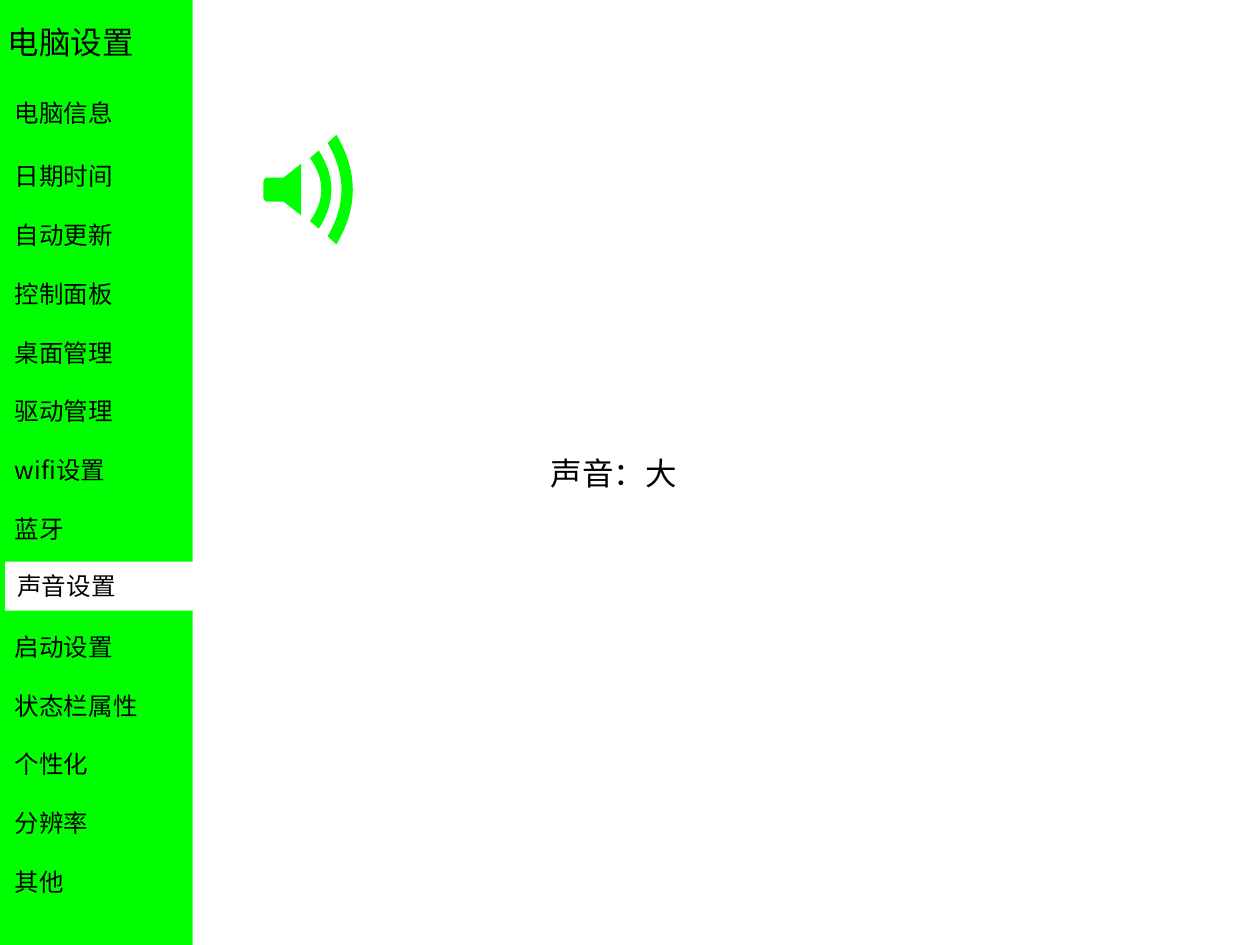
from dataclasses import dataclass

from pptx import Presentation
from pptx.dml.color import RGBColor
from pptx.enum.shapes import MSO_SHAPE
from pptx.enum.text import MSO_ANCHOR, PP_ALIGN
from pptx.util import Inches, Pt


@dataclass(frozen=True)
class Theme:
    accent: RGBColor = RGBColor(0x00, 0xFF, 0x00)
    paper: RGBColor = RGBColor(0xFF, 0xFF, 0xFF)
    ink: RGBColor = RGBColor(0x00, 0x00, 0x00)
    heading_size: int = 18
    item_size: int = 14
    line_height: float = 1.2
    font: str = "Arial"
    menu_font: str = "Noto Sans CJK SC"


THEME = Theme()
ROW_PITCH = 33.6  # points between the menu rows
FIRST_ITEM = "电脑信息"
SELECTED_ITEM = "声音设置"
WIFI_ITEM = "wifi设置"
MENU_ITEMS = [
    "日期时间", "自动更新", "控制面板", "桌面管理", "驱动管理", WIFI_ITEM, "蓝牙",
    SELECTED_ITEM, "启动设置", "状态栏属性", "个性化", "分辨率", "其他",
]


def format_paragraph(paragraph, size, font):
    paragraph.alignment = PP_ALIGN.LEFT
    paragraph.line_spacing = Pt(size * THEME.line_height)
    for run in paragraph.runs:
        run.font.size = Pt(size)
        run.font.name = font
        run.font.color.rgb = THEME.ink


def write(shape, lines, size, font, anchor=MSO_ANCHOR.TOP, left_inset=0.1):
    frame = shape.text_frame
    frame.text = "\n".join(lines)
    frame.word_wrap = True
    frame.vertical_anchor = anchor
    frame.margin_left, frame.margin_right = Inches(left_inset), Inches(0.1)
    frame.margin_top = frame.margin_bottom = Inches(0.05)
    for paragraph in frame.paragraphs:
        format_paragraph(paragraph, size, font)


def paint(shape, color):
    shape.shadow.inherit = False
    shape.fill.solid()
    shape.fill.fore_color.rgb = color
    shape.line.fill.background()


def add_block(slide, box, color):
    block = slide.shapes.add_shape(MSO_SHAPE.RECTANGLE, *map(Inches, box))
    paint(block, color)
    return block


def add_title(slide, box):
    title = slide.shapes.title
    title.left, title.top, title.width, title.height = map(Inches, box)
    write(title, ["电脑设置"], THEME.heading_size, THEME.font, left_inset=0.06)
    # The title must lie above the coloured background.
    title.element.getparent().append(title.element)


def add_menu_list(slide, box):
    """Writes the plain rows, leaving room for the rows that have a block."""
    menu = slide.shapes.add_textbox(*map(Inches, box))
    rows = [(i, item) for i, item in enumerate(MENU_ITEMS)
            if item not in (WIFI_ITEM, SELECTED_ITEM)]
    write(menu, [item for _, item in rows], THEME.item_size, THEME.menu_font)
    line = THEME.item_size * THEME.line_height
    paragraphs = menu.text_frame.paragraphs
    for (before, _), (row, _), paragraph in zip(rows, rows[1:], paragraphs[1:]):
        paragraph.space_before = Pt((row - before) * ROW_PITCH - line)


def add_menu(slide, box):
    left, top, width, height = box
    first = slide.shapes.add_textbox(*map(Inches, (left, top, width, 0.34)))
    write(first, [FIRST_ITEM], THEME.item_size, THEME.font)

    list_top = top + 0.5
    add_menu_list(slide, (left, list_top, width, height - 0.5))

    def row_top(item):
        return list_top + MENU_ITEMS.index(item) * ROW_PITCH / 72

    wifi = add_block(slide, (left, row_top(WIFI_ITEM), width, 0.34), THEME.accent)
    write(wifi, [WIFI_ITEM], THEME.item_size, THEME.menu_font)

    selected = add_block(
        slide, (left + 0.02, row_top(SELECTED_ITEM) - 0.04, 1.5, 0.39), THEME.paper)
    write(selected, [SELECTED_ITEM], THEME.item_size, THEME.font, MSO_ANCHOR.MIDDLE)


def curve(apex, depth, half_height, middle, steps=16):
    """Points from top to bottom of an arc that bulges to the right."""
    positions = [2 * step / steps - 1 for step in range(steps + 1)]
    return [(apex - depth * u * u, middle + half_height * u) for u in positions]


def add_speaker(slide, box):
    left, top, width, height = box
    middle = height / 2
    upper = [(0.3, 0.23), (0.16, 0.34), (0.02, 0.34), (0.01, 0.35), (0, 0.37)]
    lower = [(x, height - y) for x, y in reversed(upper)]
    small_wave = (curve(0.54, 0.1, 0.31, middle)
                  + curve(0.46, 0.09, 0.25, middle)[::-1])
    large_wave = (curve(width, 0.13, middle, middle)
                  + curve(0.62, 0.11, 0.37, middle)[::-1])

    outlines = [[(Inches(left + x), Inches(top + y)) for x, y in outline]
                for outline in (upper + lower, small_wave, large_wave)]
    builder = slide.shapes.build_freeform(*outlines[0][0])
    for outline in outlines:
        if outline is not outlines[0]:
            builder.move_to(*outline[0])
        builder.add_line_segments(outline[1:], close=True)
    paint(builder.convert_to_shape(), THEME.accent)


def add_sound_panel(slide, box):
    left, top, _, _ = box
    panel = add_block(slide, box, THEME.paper)
    write(panel, ["声音：大"], THEME.heading_size, THEME.font,
          MSO_ANCHOR.MIDDLE, left_inset=2.84)
    add_speaker(slide, (left + 0.56, top + 1.07, 0.71, 0.87))


def main():
    presentation = Presentation()
    presentation.slide_width = Inches(10)
    presentation.slide_height = Inches(7.5)
    slide = presentation.slides.add_slide(presentation.slide_layouts[5])
    add_block(slide, (0, 0, 10, 7.5), THEME.accent)
    add_sound_panel(slide, (1.53, 0, 8.47, 7.5))
    add_title(slide, (0, 0.13, 1.51, 0.4))
    add_menu(slide, (0.02, 0.73, 1.43, 6.67))
    presentation.save("out.pptx")


if __name__ == "__main__":
    main()
